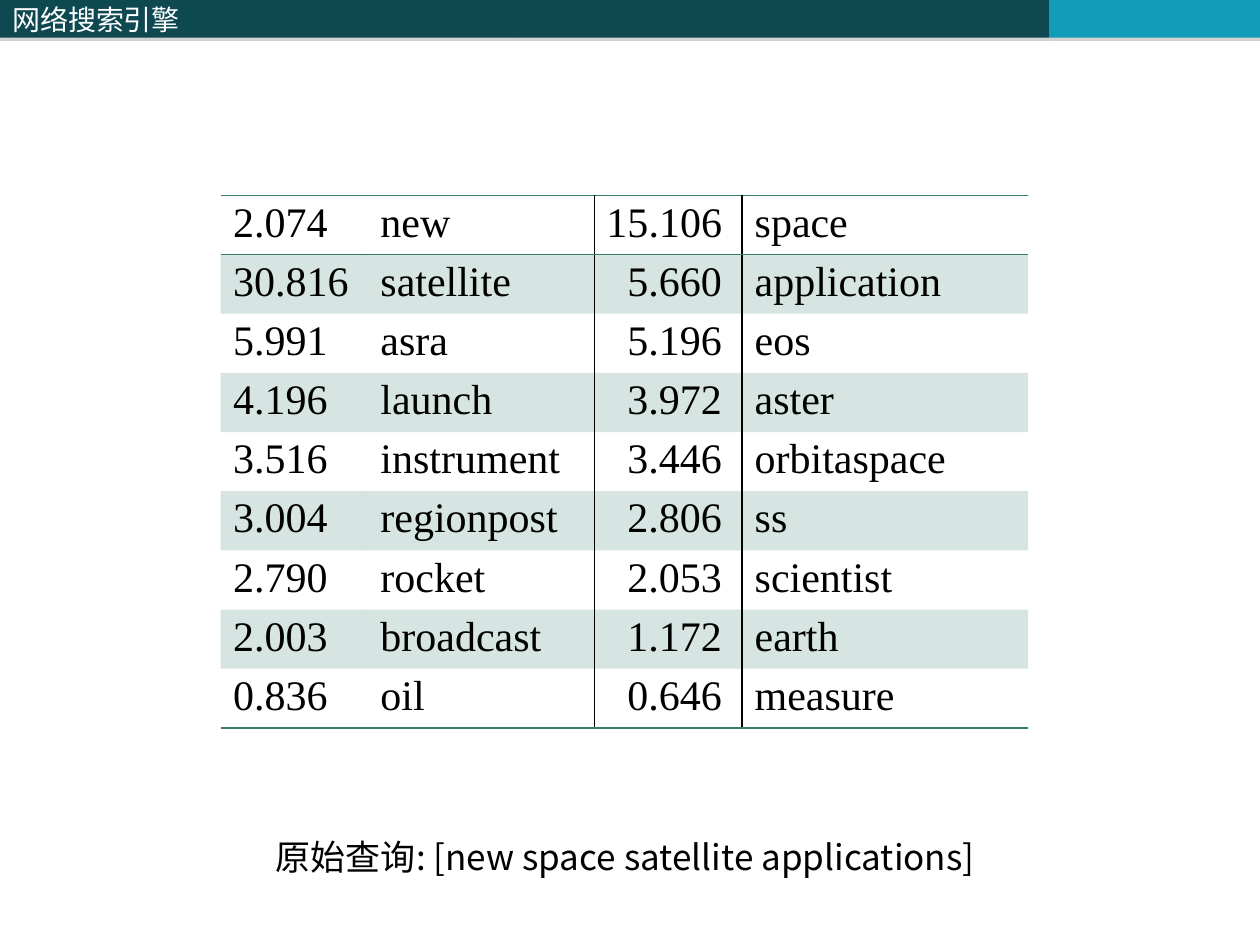
from dataclasses import dataclass

from pptx import Presentation
from pptx.dml.color import RGBColor
from pptx.enum.shapes import MSO_SHAPE
from pptx.enum.text import MSO_ANCHOR, PP_ALIGN
from pptx.oxml.ns import qn
from pptx.util import Inches, Pt
from lxml.etree import SubElement


@dataclass(frozen=True)
class Theme:
    """Colours, fonts and type sizes of the slide."""
    dark: str = "0E4851"
    bright: str = "139CB7"
    green: str = "357E69"
    shadow: str = "808080"
    black: str = "000000"
    white: str = "FFFFFF"
    sans: str = "Noto Sans CJK SC"
    serif: str = "Times New Roman"
    header_size: int = 16
    caption_size: int = 20
    table_size: int = 24


THEME = Theme()
WIDTH, HEIGHT = 10, 7.5
HEADER_HEIGHT = 0.04 * HEIGHT
HEADER_BANDS = [
    (0.408, THEME.dark, "网络搜索引擎"),
    (0.425, THEME.dark, ""),
    (0.167, THEME.bright, ""),
]
COLUMN_WIDTHS = [1.17, 1.8, 1.17, 2.27]
ROW_HEIGHT = 0.41
TERMS = [
    ("2.074", "new", "15.106", "space"),
    ("30.816", "satellite", "5.660", "application"),
    ("5.991", "asra", "5.196", "eos"),
    ("4.196", "launch", "3.972", "aster"),
    ("3.516", "instrument", "3.446", "orbitaspace"),
    ("3.004", "regionpost", "2.806", "ss"),
    ("2.790", "rocket", "2.053", "scientist"),
    ("2.003", "broadcast", "1.172", "earth"),
    ("0.836", "oil", "0.646", "measure"),
]
ROW_RULES = {edge: THEME.green for edge in (0, 1, len(TERMS))}
COLUMN_RULES = {edge: THEME.black for edge in (2, 3)}
CELL_MARGINS = {"margin_top": Pt(2.5), "margin_bottom": Pt(2.5)}
NUMBER_MARGINS = {"margin_left": Inches(0.05), "margin_right": Inches(0.16)}


def set_format(target, values):
    """Set each attribute named in a dict on the target."""
    for name, value in values.items():
        setattr(target, name, value)


def write_text(paragraph, text, font_name, size, color):
    """Write one run with its font, size and colour."""
    run = paragraph.add_run()
    run.text = text
    set_format(run.font, {"name": font_name, "size": Pt(size)})
    run.font.color.rgb = RGBColor.from_string(color)
    SubElement(run.font._element, qn("a:ea"), typeface=font_name)


def add_color(parent, color, opacity):
    """Add a colour with an opacity in percent to an XML parent."""
    element = SubElement(parent, qn("a:srgbClr"), val=color)
    SubElement(element, qn("a:alpha"), val=str(opacity * 1000))


def add_shadow(shape):
    """Give a shape a sharp shadow straight below it."""
    shape.shadow.inherit = False
    effects = shape._element.spPr.find(qn("a:effectLst"))
    shadow = SubElement(effects, qn("a:outerShdw"), blurRad="0",
                        dist=str(Pt(1.8)), dir="5400000", rotWithShape="0")
    add_color(shadow, THEME.shadow, 35)


def add_header(slide):
    """Lay the header bands side by side across the slide."""
    left = 0
    for share, color, text in HEADER_BANDS:
        shape = slide.shapes.add_shape(
            MSO_SHAPE.RECTANGLE, Inches(left * WIDTH), 0,
            Inches(share * WIDTH), Inches(HEADER_HEIGHT))
        shape.fill.solid()
        shape.fill.fore_color.rgb = RGBColor.from_string(color)
        shape.line.fill.background()
        add_shadow(shape)
        if text:
            set_format(shape.text_frame, {
                "vertical_anchor": MSO_ANCHOR.MIDDLE, "word_wrap": True})
            paragraph = shape.text_frame.paragraphs[0]
            paragraph.alignment = PP_ALIGN.LEFT
            write_text(paragraph, text, THEME.sans, THEME.header_size, THEME.white)
        left += share


def add_borders(cell, row, column):
    """Draw the rules that meet a cell and clear its other borders."""
    properties = cell._tc.get_or_add_tcPr()
    edges = {
        "a:lnL": COLUMN_RULES.get(column),
        "a:lnR": COLUMN_RULES.get(column + 1),
        "a:lnT": ROW_RULES.get(row),
        "a:lnB": ROW_RULES.get(row + 1),
    }
    for tag, color in edges.items():
        line = SubElement(properties, qn(tag), w=str(Pt(1) if color else 0))
        if color:
            add_color(SubElement(line, qn("a:solidFill")), color, 100)
        else:
            SubElement(line, qn("a:noFill"))


def fill_cell(cell, row):
    """Tint every second row and leave the others clear."""
    if row % 2:
        add_color(SubElement(cell._tc.get_or_add_tcPr(), qn("a:solidFill")),
                  THEME.green, 20)
    else:
        cell.fill.background()


def add_term_table(slide):
    """Add the table of term weights."""
    frame = slide.shapes.add_table(
        len(TERMS), len(COLUMN_WIDTHS), Inches(1.75), Inches(1.55),
        Inches(sum(COLUMN_WIDTHS)), Inches(ROW_HEIGHT * len(TERMS)))
    table = frame.table
    set_format(table, {"first_row": False, "horz_banding": False})
    for column, width in zip(table.columns, COLUMN_WIDTHS):
        column.width = Inches(width)
    for row, values in enumerate(TERMS):
        table.rows[row].height = Inches(ROW_HEIGHT)
        for column, text in enumerate(values):
            cell = table.cell(row, column)
            paragraph = cell.text_frame.paragraphs[0]
            write_text(paragraph, text, THEME.serif, THEME.table_size, THEME.black)
            set_format(cell, CELL_MARGINS)
            if column == 2:
                paragraph.alignment = PP_ALIGN.RIGHT
                set_format(cell, NUMBER_MARGINS)
            add_borders(cell, row, column)
            fill_cell(cell, row)


def add_caption(slide, text):
    """Add the line of text below the table."""
    box = slide.shapes.add_textbox(
        Inches(2.09), Inches(6.58), Inches(7.09), Inches(0.58))
    box.text_frame.word_wrap = True
    write_text(box.text_frame.paragraphs[0], text, THEME.sans,
               THEME.caption_size, THEME.black)


def main():
    """Build the slide and save it."""
    presentation = Presentation()
    set_format(presentation, {"slide_width": Inches(WIDTH),
                              "slide_height": Inches(HEIGHT)})
    slide = presentation.slides.add_slide(presentation.slide_layouts[6])
    add_header(slide)
    add_caption(slide, "原始查询: [new space satellite applications]")
    add_term_table(slide)
    presentation.save("out.pptx")


if __name__ == "__main__":
    main()
